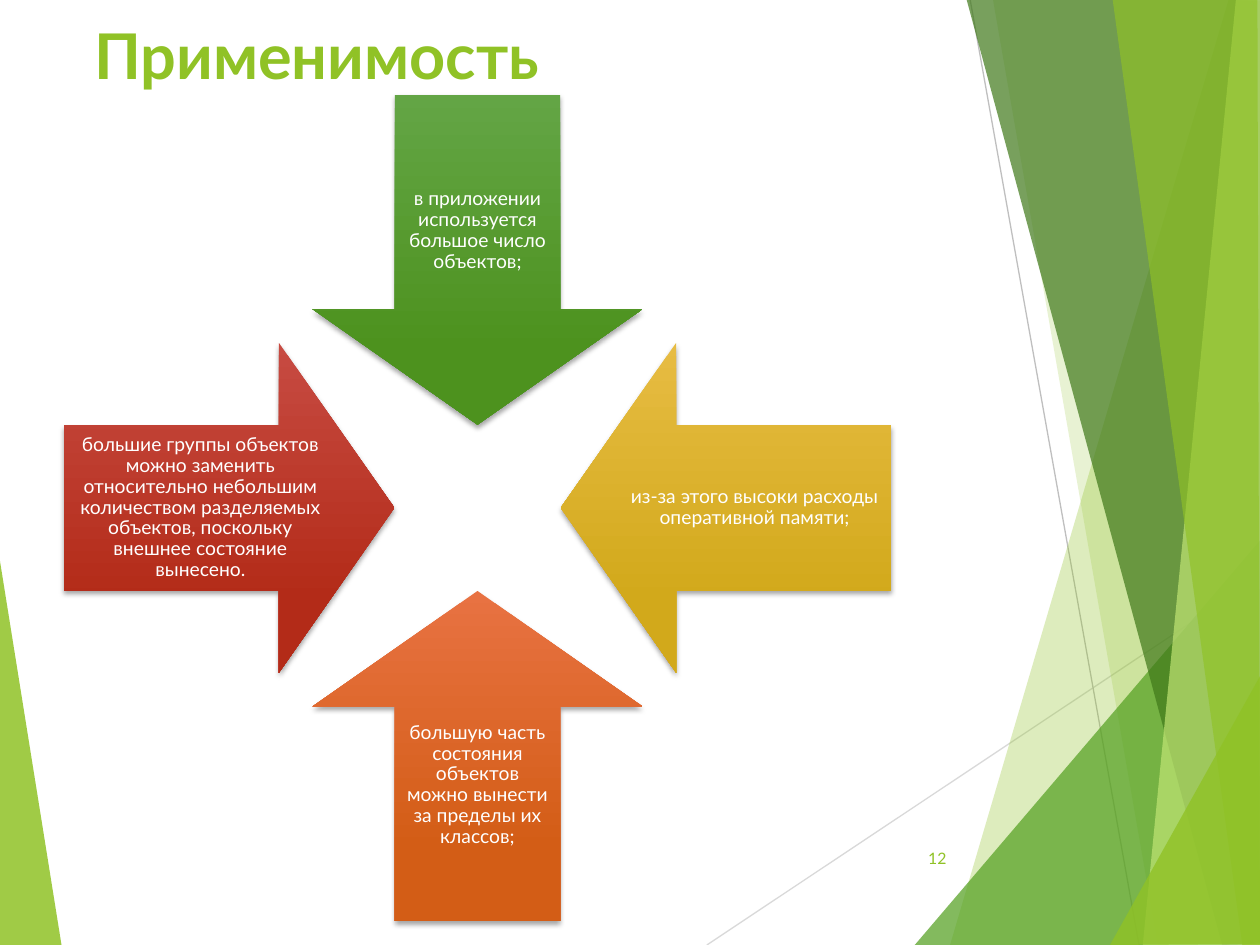
from lxml import etree
from pptx import Presentation
from pptx.dml.color import RGBColor
from pptx.enum.shapes import MSO_CONNECTOR, MSO_SHAPE
from pptx.enum.text import MSO_ANCHOR, PP_ALIGN
from pptx.oxml.ns import qn
from pptx.util import Inches, Pt

FONT = "Lato"
WHITE = RGBColor(0xFF, 0xFF, 0xFF)
LIME = RGBColor(0x90, 0xC2, 0x26)
GREEN = RGBColor(0x54, 0xA0, 0x21)
DARK_GREEN = RGBColor(0x3F, 0x78, 0x19)
PALE_LIME = RGBColor(0xC0, 0xE4, 0x74)
LIGHT_GREY = RGBColor(0xD9, 0xD9, 0xD9)
GREY = RGBColor(0xBF, 0xBF, 0xBF)
STRAIGHT = MSO_CONNECTOR.STRAIGHT
TOP, MIDDLE = MSO_ANCHOR.TOP, MSO_ANCHOR.MIDDLE
LEFT, CENTER, RIGHT = PP_ALIGN.LEFT, PP_ALIGN.CENTER, PP_ALIGN.RIGHT

TITLE = "Применимость"
PAGE_NUMBER = "12"

# preset, direction from the centre (x, y), gradient from top to bottom, text
ARROWS = [
    (MSO_SHAPE.DOWN_ARROW, (0, -1), ("63A545", "4D921E"),
     "в приложении используется большое число объектов;"),
    (MSO_SHAPE.LEFT_ARROW, (1, 0), ("E7BC43", "D2A91B"),
     "из-за этого высоки расходы оперативной памяти;"),
    (MSO_SHAPE.UP_ARROW, (0, 1), ("E87242", "D35D16"),
     "большую часть состояния объектов можно вынести за пределы их классов;"),
    (MSO_SHAPE.RIGHT_ARROW, (-1, 0), ("C74B42", "B32B18"),
     "большие группы объектов можно заменить относительно небольшим количеством "
     "разделяемых объектов, поскольку внешнее состояние вынесено."),
]
ARROW_SIZE = 2.62
ARROW_OFFSET = 1.97
CENTRE_X, CENTRE_Y = 3.79, 4.03

# colour, opacity in percent, corners
LEFT_FACET = (LIME, 85, [(-0.01, 4.39), (0.49, 7.51), (-0.01, 7.5)])
RIGHT_FACETS = [
    (LIME, 30, [(9.75, 0), (7.54, 7.5), (10.02, 7.51), (10.01, 0.01)]),
    (LIME, 20, [(7.88, -0.01), (9.19, 7.5), (10.01, 7.5), (10.01, -0.01)]),
    (GREEN, 72, [(7.26, 7.5), (10, 4.29), (10.01, 7.5)]),
    (DARK_GREEN, 70, [(7.67, -0.01), (9.7, 7.5), (10.01, 7.49), (10.01, -0.01)]),
    (PALE_LIME, 70, [(9.81, -0.01), (9.07, 7.5), (10.01, 7.5), (10, -0.01)]),
    (LIME, 65, [(8.83, -0.01), (9.86, 7.5), (10, 7.5), (9.98, -0.01)]),
    (LIME, 80, [(8.81, 7.5), (10.01, 5.35), (10.01, 7.49)]),
]
# start, end, colour
LINES = [
    ((5.61, 7.5), (10.01, 4.57), LIGHT_GREY),
    ((7.7, 0), (9.04, 7.5), GREY),
]


def add_facet(s, color, opacity, corners):
    start, *rest = [(Inches(x), Inches(y)) for x, y in corners]
    builder = s.shapes.build_freeform(*start)
    builder.add_line_segments(rest)
    sp = builder.convert_to_shape()
    sp.shadow.inherit = False
    sp.line.fill.background()
    sp.fill.solid()
    sp.fill.fore_color.rgb = color
    srgb = sp.fill._xPr.find(f".//{qn('a:srgbClr')}")
    etree.SubElement(srgb, qn("a:alpha"), val=str(opacity * 1000))


def add_line(s, start, end, color):
    line = s.shapes.add_connector(STRAIGHT, *map(Inches, start + end))
    line.line.color.rgb = color
    line.line.width = Pt(0.75)
    etree.SubElement(line._element.spPr, qn("a:effectLst"))


def write(sp, text, anchor, align, **font):
    tf = sp.text_frame
    tf.word_wrap = True
    tf.vertical_anchor = anchor
    p = tf.paragraphs[0]
    p.alignment = align
    r = p.add_run()
    r.text = text
    r.font.name = FONT
    r.font.color.rgb = font.pop("color")
    for name, value in font.items():
        setattr(r.font, name, value)
    return tf


def add_soft_shadow(sp):
    sp.shadow.inherit = False
    effects = sp._element.spPr.find(qn("a:effectLst"))
    shadow = etree.SubElement(
        effects, qn("a:outerShdw"), blurRad=str(Pt(3)), dist=str(Pt(2)),
        dir="5400000", rotWithShape="0")
    black = etree.SubElement(shadow, qn("a:srgbClr"), val="000000")
    etree.SubElement(black, qn("a:alpha"), val="35000")


def add_arrow(s, preset, direction, colors, text):
    dx, dy = direction
    left = CENTRE_X + dx * ARROW_OFFSET - ARROW_SIZE / 2
    top = CENTRE_Y + dy * ARROW_OFFSET - ARROW_SIZE / 2
    sp = s.shapes.add_shape(
        preset, *map(Inches, (left, top, ARROW_SIZE, ARROW_SIZE)))
    sp.adjustments[0], sp.adjustments[1] = 0.5, 0.35
    sp.line.fill.background()
    sp.fill.gradient()
    sp.fill.gradient_angle = 270
    for stop, position, color in zip(sp.fill.gradient_stops, (0, 0.78), colors):
        stop.position = position
        stop.color.rgb = RGBColor.from_string(color)
    add_soft_shadow(sp)
    tf = write(sp, text, MIDDLE, CENTER, size=Pt(11), color=WHITE)
    for side in ("left", "top", "right", "bottom"):
        setattr(tf, f"margin_{side}", Inches(0.09))
    tf.paragraphs[0].line_spacing = 0.9


def add_label(s, box, text, anchor, align, **font):
    sp = s.shapes.add_textbox(*map(Inches, box))
    write(sp, text, anchor, align, color=LIME, **font)


def main():
    prs = Presentation()
    prs.slide_width, prs.slide_height = Inches(10), Inches(7.5)
    s = prs.slides.add_slide(prs.slide_layouts[6])

    add_facet(s, *LEFT_FACET)
    for line in LINES:
        add_line(s, *line)
    for facet in RIGHT_FACETS:
        add_facet(s, *facet)

    add_label(s, (0.65, 0.08, 6.94, 1.44), TITLE, TOP, LEFT, size=Pt(36), bold=True)
    for arrow in ARROWS:
        add_arrow(s, *arrow)
    add_label(s, (7.05, 6.61, 0.56, 0.4), PAGE_NUMBER, MIDDLE, RIGHT, size=Pt(9))

    prs.save("out.pptx")


if __name__ == "__main__":
    main()
